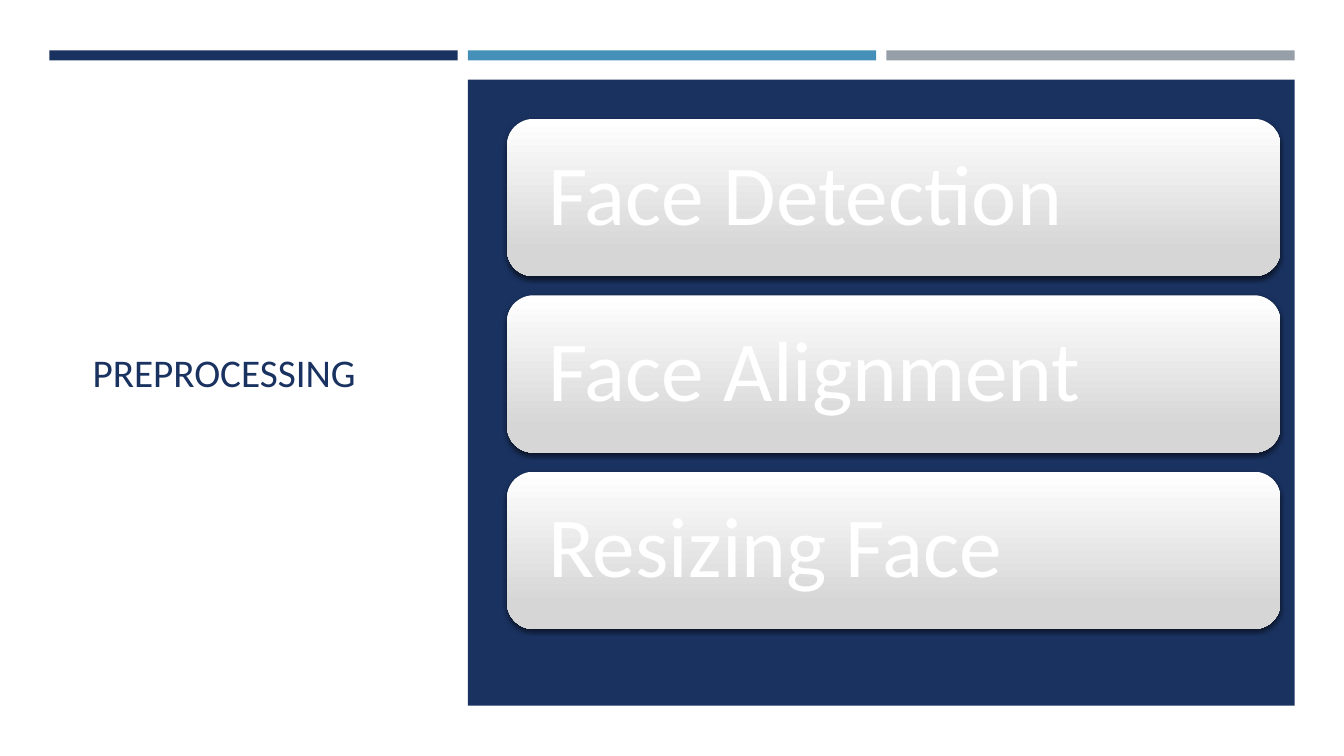
from lxml.etree import SubElement
from pptx import Presentation
from pptx.dml.color import RGBColor
from pptx.enum.shapes import MSO_SHAPE as Shape
from pptx.enum.text import MSO_ANCHOR as Anchor, PP_ALIGN as Align
from pptx.oxml.ns import qn
from pptx.util import Inches, Pt

NAVY = RGBColor(0x1A, 0x32, 0x60)
BLUE = RGBColor(0x45, 0x90, 0xB8)
GREY = RGBColor(0x96, 0x9F, 0xA7)
SILVER = RGBColor(0xD6, 0xD6, 0xD6)
WHITE = RGBColor(0xFF, 0xFF, 0xFF)
FONT = "Calibri"

WIDTH, HEIGHT = 13.33, 7.5
# Three columns carry the top bars; the panel spans the last two
MARGIN, COLUMN, PITCH = 0.49, 4.05, 4.15
STEPS = ["Face Detection", "Face Alignment", "Resizing Face"]


def add_block(page, kind, box, color=None):
    shape = page.shapes.add_shape(kind, *map(Inches, box))
    shape.shadow.inherit = False
    shape.line.fill.background()
    if color is not None:
        shape.fill.solid()
        shape.fill.fore_color.rgb = color
    return shape


def write(shape, text, size, color, inset):
    frame = shape.text_frame
    frame.text = text
    frame.word_wrap = True
    frame.vertical_anchor = Anchor.MIDDLE
    frame.margin_left = frame.margin_right = Inches(inset)
    para = frame.paragraphs[0]
    para.alignment = Align.LEFT
    para.line_spacing = 0.9
    font = para.runs[0].font
    font.name, font.size, font.color.rgb = FONT, Pt(size), color


def add_soft_shadow(shape):
    effects = shape._element.spPr.find(qn("a:effectLst"))
    shadow = SubElement(effects, qn("a:outerShdw"), blurRad=str(Pt(3)), dist=str(Pt(2)),
                        dir="5400000", algn="ctr", rotWithShape="0")
    black = SubElement(shadow, qn("a:srgbClr"), val="000000")
    SubElement(black, qn("a:alpha"), val="55000")


def add_top_bars(page, left, top, height):
    for column, color in enumerate((NAVY, BLUE, GREY)):
        add_block(page, Shape.RECTANGLE, (left + column * PITCH, top, COLUMN, height), color)


def add_title(page, box, text):
    title = page.shapes.add_textbox(*map(Inches, box))
    write(title, text, 28, NAVY, 0.1)


def add_card(page, box, text):
    card = add_block(page, Shape.ROUNDED_RECTANGLE, box)
    card.fill.gradient()
    card.fill.gradient_angle = 270
    for stop, (position, color) in zip(card.fill.gradient_stops, ((0, WHITE), (0.84, SILVER))):
        stop.position, stop.color.rgb = position, color
    add_soft_shadow(card)
    write(card, text, 61, WHITE, 0.33)


def add_steps_panel(page, box, steps):
    left, top, width, _ = box
    add_block(page, Shape.RECTANGLE, box, NAVY)
    card_height, card_pitch = 1.56, 1.75
    for row, step in enumerate(steps):
        card_top = top + 0.39 + row * card_pitch
        add_card(page, (left + 0.39, card_top, width - 0.53, card_height), step)


def main():
    deck = Presentation()
    deck.slide_width, deck.slide_height = Inches(WIDTH), Inches(HEIGHT)
    page = deck.slides.add_slide(deck.slide_layouts[6])
    # Backdrop and header
    add_block(page, Shape.RECTANGLE, (0, 0, WIDTH, HEIGHT), WHITE)
    add_top_bars(page, MARGIN, 0.5, 0.1)
    # Title on the left, steps on the right
    add_title(page, (0.82, 1.14, 3.34, 5.15), "PREPROCESSING")
    add_steps_panel(page, (MARGIN + PITCH, 0.79, PITCH + COLUMN, 6.21), STEPS)
    deck.save("out.pptx")


if __name__ == "__main__":
    main()
